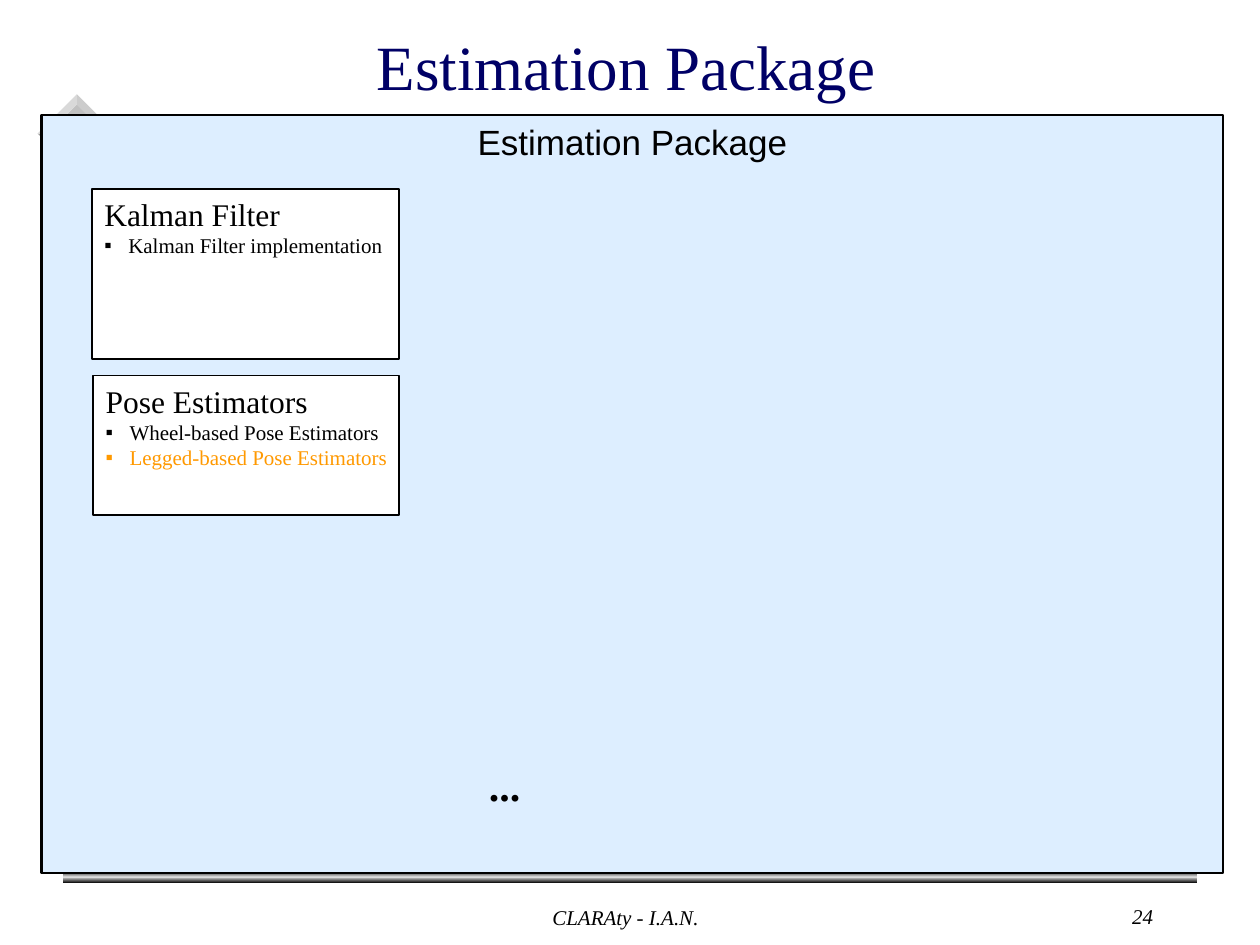
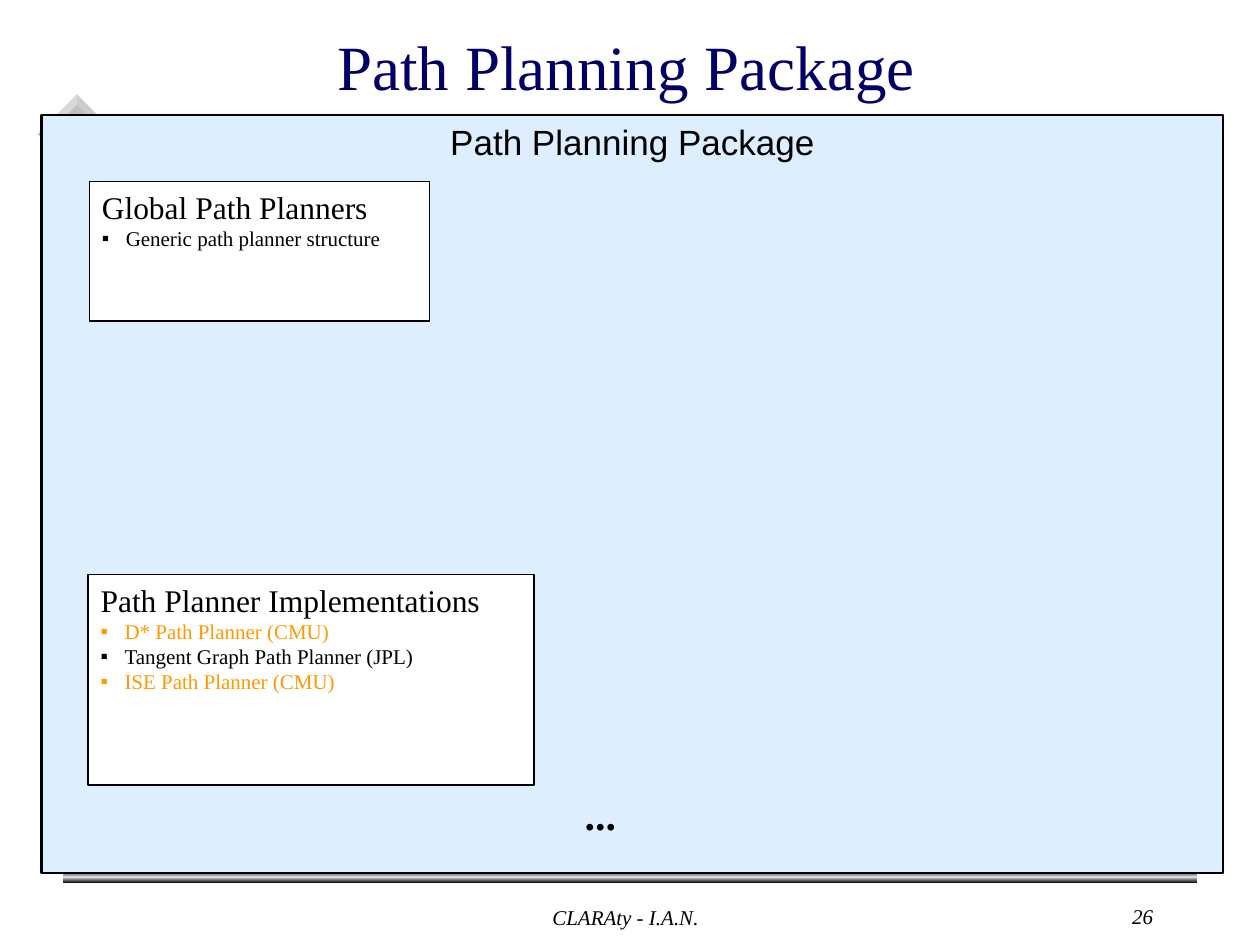
import copy

import pptx
import pptx.dml.color
import pptx.enum.shapes
import pptx.enum.text
import pptx.oxml
import pptx.oxml.ns
import pptx.util

RGBColor = pptx.dml.color.RGBColor
SHAPES = pptx.enum.shapes.MSO_SHAPE
ALIGN = pptx.enum.text.PP_ALIGN
ANCHOR = pptx.enum.text.MSO_ANCHOR

NAVY = RGBColor(0x00, 0x00, 0x66)
BLACK = RGBColor(0x00, 0x00, 0x00)
WHITE = RGBColor(0xFF, 0xFF, 0xFF)
SILVER = RGBColor(0xC0, 0xC0, 0xC0)
PALE_GRAY = RGBColor(0xDD, 0xDD, 0xDD)
PALE_BLUE = RGBColor(0xDD, 0xEE, 0xFF)
ORANGE = RGBColor(0xFF, 0x99, 0x00)

SERIF = "Times New Roman"
SANS = "Arial"

# The grid has 100 columns and 75 rows of equal size
WIDTH = pptx.util.Inches(10)
HEIGHT = pptx.util.Inches(7.5)
COLUMN = WIDTH / 100
ROW = HEIGHT / 75
BULLET_INDENT = 1.9


def place(column, row, columns, rows):
    return (round(column * COLUMN), round(row * ROW),
            round(columns * COLUMN), round(rows * ROW))


def style(paragraph, size, color=BLACK, name=SERIF, bold=False, italic=False):
    font = paragraph.font
    font.size = pptx.util.Pt(size)
    font.color.rgb = color
    font.name = name
    font.bold = bold
    font.italic = italic


def add_block(slide, area, fill=None, line_width=None, preset=SHAPES.RECTANGLE):
    shape = slide.shapes.add_shape(preset, *place(*area))
    shape.shadow.inherit = False
    if fill is not None:
        shape.fill.solid()
        shape.fill.fore_color.rgb = fill
    if line_width:
        shape.line.color.rgb = BLACK
        shape.line.width = pptx.util.Pt(line_width)
    else:
        shape.line.fill.background()
    shape.text_frame.word_wrap = False
    shape.text_frame.vertical_anchor = ANCHOR.TOP
    return shape


def add_label(slide, area, text, size, align=ALIGN.CENTER, wrap=True,
              anchor=ANCHOR.TOP, **font):
    frame = slide.shapes.add_textbox(*place(*area)).text_frame
    frame.word_wrap = wrap
    frame.vertical_anchor = anchor
    paragraph = frame.paragraphs[0]
    paragraph.text = text
    paragraph.alignment = align
    style(paragraph, size, **font)


def add_bullet(paragraph, color):
    properties = paragraph._p.get_or_add_pPr()
    properties.set("marL", str(round(BULLET_INDENT * COLUMN)))
    properties.set("indent", str(-round(BULLET_INDENT * COLUMN)))
    namespace = pptx.oxml.ns.nsdecls("a")
    for element in (f'<a:buClr {namespace}><a:srgbClr val="{color}"/></a:buClr>',
                    f'<a:buFont {namespace} typeface="{SERIF}"/>',
                    f'<a:buChar {namespace} char="▪"/>'):
        properties.append(pptx.oxml.parse_xml(element))


def add_module(slide, area, heading, items):
    """A white box: a heading above bulleted (text, color) items."""
    frame = add_block(slide, area, WHITE, 1).text_frame
    paragraph = frame.paragraphs[0]
    paragraph.text = heading
    paragraph.alignment = ALIGN.LEFT
    style(paragraph, 18)
    for text, color in items:
        paragraph = frame.add_paragraph()
        paragraph.text = text
        paragraph.alignment = ALIGN.LEFT
        add_bullet(paragraph, color)
        style(paragraph, 12, color)


def add_metal_band(slide):
    band = add_block(slide, (5, 69.1, 90, 1))
    band.fill.gradient()
    band.fill.gradient_angle = 90
    stop_list = band._element.spPr.find(".//" + pptx.oxml.ns.qn("a:gsLst"))
    stop_list.insert(1, copy.deepcopy(stop_list[0]))
    stops = ((0, BLACK), (0.5, PALE_GRAY), (1, BLACK))
    for stop, (position, color) in zip(band.fill.gradient_stops, stops):
        stop.position = position
        stop.color.rgb = color


def add_package_slide(presentation, title, number):
    slide = presentation.slides.add_slide(presentation.slide_layouts[6])

    # Corner ornament and bottom band
    diamond = add_block(slide, (3.9, 8.4, 4.4, 4.4), SILVER, preset=SHAPES.BEVEL)
    diamond.adjustments[0] = 0.13
    diamond.rotation = 45
    add_metal_band(slide)

    # Title and package panel
    add_label(slide, (17.6, 2.3, 64.2, 5.8), title, 36,
              anchor=ANCHOR.MIDDLE, color=NAVY)
    panel = add_block(slide, (3.3, 9.1, 93.8, 60.2), PALE_BLUE, 1.25)
    paragraph = panel.text_frame.paragraphs[0]
    paragraph.text = title
    paragraph.alignment = ALIGN.CENTER
    style(paragraph, 20, name=SANS)

    # Footer
    add_label(slide, (33.8, 71.3, 31.7, 2), "CLARAty - I.A.N.", 12, italic=True)
    add_label(slide, (71.7, 71.2, 20.8, 2.2), str(number), 12, ALIGN.RIGHT,
              italic=True)
    return slide


def add_ellipsis(slide, column, row):
    add_label(slide, (column, row, 4.5, 5), "...", 24, wrap=False, bold=True)


def main():
    presentation = pptx.Presentation()
    presentation.slide_width = WIDTH
    presentation.slide_height = HEIGHT

    # Estimation
    slide = add_package_slide(presentation, "Estimation Package", 24)
    add_module(slide, (7.3, 15, 24.4, 13.5), "Kalman Filter",
               [("Kalman Filter implementation", BLACK)])
    add_module(slide, (7.4, 29.8, 24.3, 11.1), "Pose Estimators",
               [("Wheel-based Pose Estimators", BLACK),
                ("Legged-based Pose Estimators", ORANGE)])
    add_ellipsis(slide, 37.8, 59.8)

    # Path planning
    slide = add_package_slide(presentation, "Path Planning Package", 26)
    add_module(slide, (7.1, 14.4, 27, 11.1), "Global Path Planners",
               [("Generic path planner structure", BLACK)])
    add_ellipsis(slide, 45.4, 62.1)
    add_module(slide, (7, 45.6, 35.4, 16.7), "Path Planner Implementations",
               [("D* Path Planner (CMU)", ORANGE),
                ("Tangent Graph Path Planner (JPL)", BLACK),
                ("ISE Path Planner (CMU)", ORANGE)])

    presentation.save("out.pptx")


if __name__ == "__main__":
    main()
